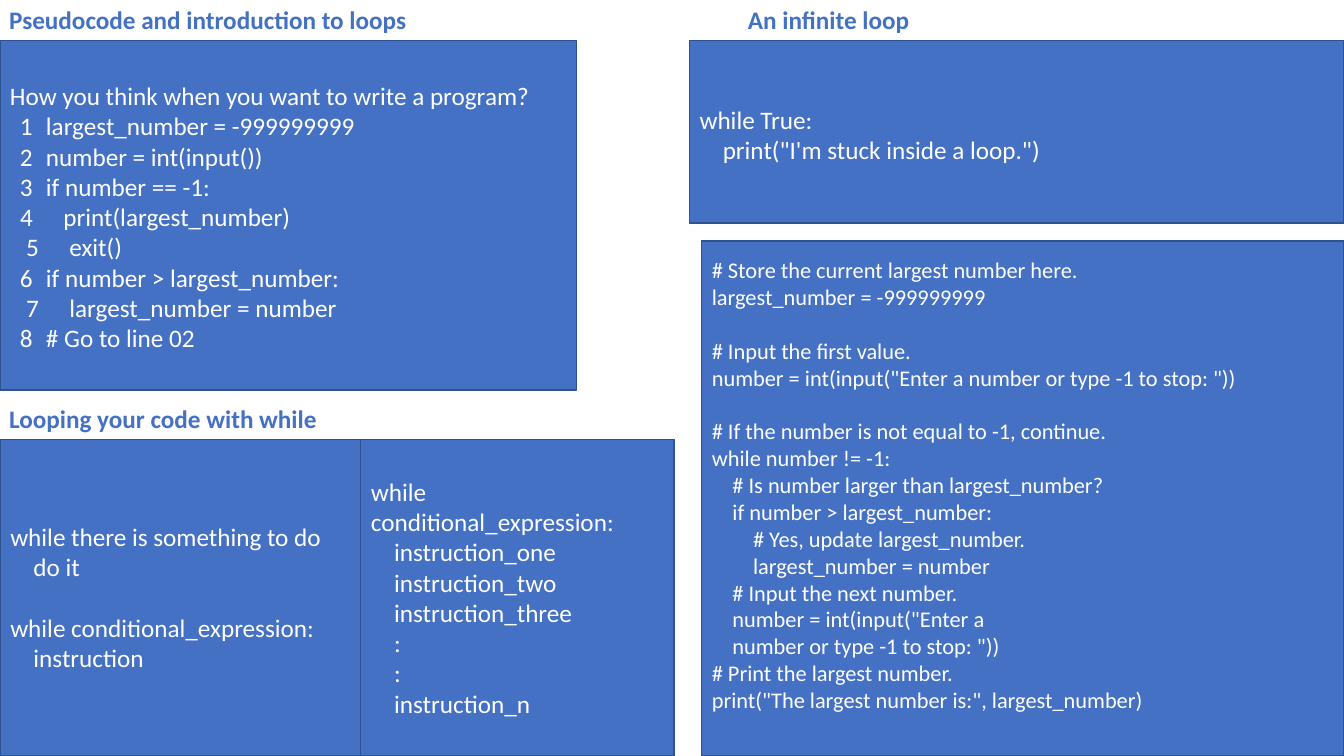
from lxml.etree import SubElement
from pptx import Presentation
from pptx.dml.color import RGBColor
from pptx.enum.shapes import MSO_SHAPE
from pptx.enum.text import MSO_ANCHOR, MSO_AUTO_SIZE, PP_ALIGN
from pptx.oxml.ns import qn
from pptx.util import Cm, Pt

BLUE = RGBColor(0x44, 0x71, 0xC4)
NAVY = RGBColor(0x2E, 0x52, 0x8F)
WHITE = RGBColor(0xFF, 0xFF, 0xFF)
FONT = "Calibri"
SLIDE_WIDTH, SLIDE_HEIGHT = 33.87, 19.05

TITLE = ("Pseudocode and introduction to loops", 0.23, 0.05, 10.4)
HEADINGS = [
    ("Looping your code with while", 0.23, 10.11, 8.2),
    ("An infinite loop", 18.85, 0.05, 4.5),
]
HEADING_HEIGHT = 0.84

QUESTION = "How you think when you want to write a program?"
STEPS = [
    ("largest_number = -999999999", 0.91, 0.66),
    ("number = int(input())", 0.91, 0.66),
    ("if number == -1:", 0.91, 0.66),
    ("print(largest_number)", 1.35, 1.09),
    ("exit()", 1.5, 1.09),
    ("if number > largest_number:", 0.91, 0.66),
    ("largest_number = number", 1.5, 1.09),
    ("# Go to line 02", 0.91, 0.66),
]
INFINITE_LOOP = [(0, "while True:"), (1, "print(\"I'm stuck inside a loop.\")")]

PSEUDOCODE_PANEL = (0, 1.02, 14.53, 8.81)
INFINITE_PANEL = (17.37, 1.02, SLIDE_WIDTH - 17.37, 4.6)
WHILE_PANEL = (0, 11.07, 16.99, SLIDE_HEIGHT - 11.07)
SYNTAX_FRAME = (9.09, 11.07, 16.99 - 9.09, SLIDE_HEIGHT - 11.07)
PROGRAM_PANEL = (17.68, 6.07, SLIDE_WIDTH - 17.68, SLIDE_HEIGHT - 6.07)

WHILE_TEXTS = [
    (0.23, 13.08, 8.3, [(0, "while there is something to do"), (1, "do it")]),
    (0.23, 15.37, 8.3, [(0, "while conditional_expression:"), (1, "instruction")]),
]
SYNTAX_TEXTS = [
    (9.32, 11.94, 6.9, [
        (0, "while"),
        (0, "conditional_expression:"),
        (1, "instruction_one"),
        (1, "instruction_two"),
        (1, "instruction_three"),
        (1, ":"),
        (1, ":"),
        (1, "instruction_n"),
    ]),
]
PROGRAM_TEXTS = [
    (17.91, 6.4, 9.8, [
        (0, "# Store the current largest number here."),
        (0, "largest_number = -999999999"),
    ]),
    (17.91, 8.43, 13.9, [
        (0, "# Input the first value."),
        (0, 'number = int(input("Enter a number or type -1 to stop: "))'),
    ]),
    (17.91, 10.46, 13.9, [
        (0, "# If the number is not equal to -1, continue."),
        (0, "while number != -1:"),
        (1, "# Is number larger than largest_number?"),
        (1, "if number > largest_number:"),
        (2, "# Yes, update largest_number."),
        (2, "largest_number = number"),
        (1, "# Input the next number."),
        (1, 'number = int(input("Enter a'),
        (1, 'number or type -1 to stop: "))'),
    ]),
    (17.91, 16.56, 11.4, [
        (0, "# Print the largest number."),
        (0, 'print("The largest number is:", largest_number)'),
    ]),
]


def place(shape, left, top, width, height):
    shape.left, shape.top = Cm(left), Cm(top)
    shape.width, shape.height = Cm(width), Cm(height)


def prepare(shape, left=0, top=0.06):
    frame = shape.text_frame
    frame.word_wrap = True
    frame.auto_size = MSO_AUTO_SIZE.NONE
    frame.vertical_anchor = MSO_ANCHOR.TOP
    frame.margin_left, frame.margin_top = Cm(left), Cm(top)
    frame.margin_right = frame.margin_bottom = 0
    return frame


def write(para, text, size=18, color=WHITE, bold=False):
    para.text = text
    para.alignment = PP_ALIGN.LEFT
    para.font.name = FONT
    para.font.size = Pt(size)
    para.font.bold = bold
    para.font.color.rgb = color


def next_paragraph(frame, index):
    return frame.paragraphs[0] if index == 0 else frame.add_paragraph()


def write_code(frame, lines, size):
    for index, (level, text) in enumerate(lines):
        para = next_paragraph(frame, index)
        para._p.get_or_add_pPr().set("marL", str(Cm(0.03 + level * size * 0.0325)))
        write(para, text, size)


def number_step(para, number, left, hanging):
    properties = para._p.get_or_add_pPr()
    properties.set("marL", str(Cm(left)))
    properties.set("indent", str(-Cm(hanging)))
    SubElement(properties, qn("a:buAutoNum"), type="arabicPlain", startAt=str(number))
    tabs = SubElement(properties, qn("a:tabLst"))
    SubElement(tabs, qn("a:tab"), pos=str(Cm(left)), algn="l")


def add_panel(page, area, filled=True):
    panel = page.shapes.add_shape(MSO_SHAPE.RECTANGLE, *map(Cm, area))
    panel.shadow.inherit = False
    if filled:
        panel.fill.solid()
        panel.fill.fore_color.rgb = BLUE
    else:
        panel.fill.background()
    panel.line.color.rgb = NAVY
    panel.line.width = Pt(1)
    return panel


def add_heading(shape, text, left, top, width):
    place(shape, left, top, width, HEADING_HEIGHT)
    write(prepare(shape).paragraphs[0], text, color=BLUE, bold=True)


def add_code_boxes(page, blocks, size):
    for left, top, width, lines in blocks:
        height = len(lines) * size * 0.043 + 0.1
        box = page.shapes.add_textbox(Cm(left), Cm(top), Cm(width), Cm(height))
        write_code(prepare(box), lines, size)


def main():
    deck = Presentation()
    deck.slide_width, deck.slide_height = Cm(SLIDE_WIDTH), Cm(SLIDE_HEIGHT)
    page = deck.slides.add_slide(deck.slide_layouts[5])
    add_heading(page.shapes.title, *TITLE)

    frame = prepare(add_panel(page, PSEUDOCODE_PANEL), 0.25, 1.01)
    write(frame.paragraphs[0], QUESTION)
    for number, (text, left, hanging) in enumerate(STEPS, 1):
        para = frame.add_paragraph()
        number_step(para, number, left, hanging)
        write(para, text)

    for heading in HEADINGS:
        add_heading(page.shapes.add_textbox(0, 0, 0, 0), *heading)

    add_panel(page, WHILE_PANEL)
    add_code_boxes(page, WHILE_TEXTS, 18)
    add_panel(page, SYNTAX_FRAME, filled=False)
    add_code_boxes(page, SYNTAX_TEXTS, 18)
    write_code(prepare(add_panel(page, INFINITE_PANEL), 0.23, 1.6), INFINITE_LOOP, 18)
    add_panel(page, PROGRAM_PANEL)
    add_code_boxes(page, PROGRAM_TEXTS, 16)
    deck.save("out.pptx")


if __name__ == "__main__":
    main()
